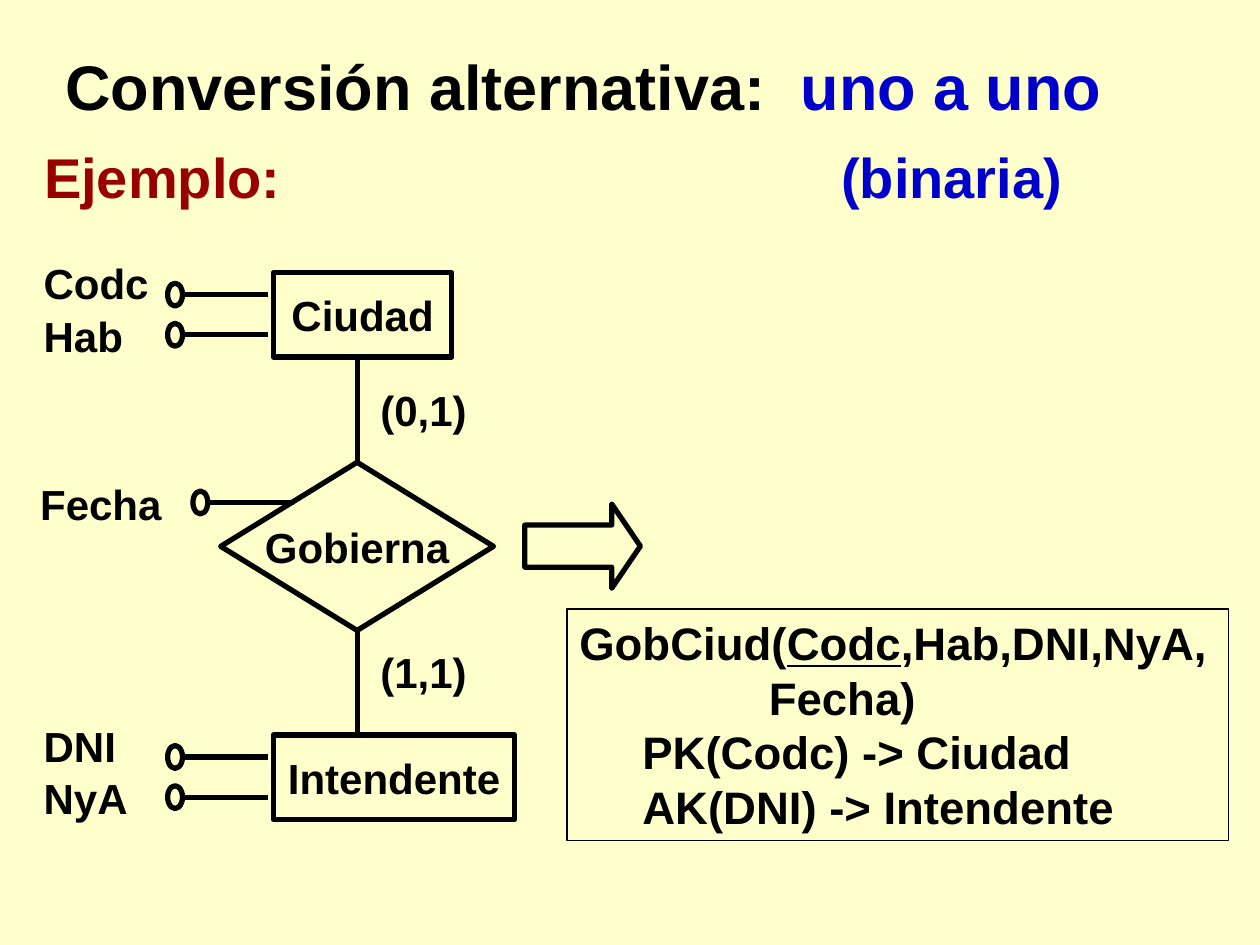
from dataclasses import dataclass

from lxml import etree
from pptx import Presentation
from pptx.dml.color import RGBColor
from pptx.enum.shapes import MSO_CONNECTOR, MSO_SHAPE
from pptx.enum.text import MSO_ANCHOR, MSO_AUTO_SIZE, PP_ALIGN
from pptx.oxml.ns import qn
from pptx.util import Cm, Pt


@dataclass(frozen=True)
class Theme:
    font: str = "Arial"
    paper: RGBColor = RGBColor(0xFF, 0xFF, 0xCC)
    ink: RGBColor = RGBColor(0, 0, 0)
    accent: RGBColor = RGBColor(0, 0, 0xCC)
    example: RGBColor = RGBColor(0x99, 0, 0)
    title: int = 36
    subtitle: int = 32
    schema: int = 26
    label: int = 24
    stroke: float = 3
    thin: float = 0.75


THEME = Theme()


def add_run(paragraph, text, size=THEME.label, color=THEME.ink, underline=None):
    run = paragraph.add_run()
    run.text = text
    run.font.name = THEME.font
    run.font.size = Pt(size)
    run.font.bold = True
    run.font.underline = underline
    run.font.color.rgb = color


def add_label(slide, text, left, top, width, height=1.27, **style):
    label = slide.shapes.add_textbox(Cm(left), Cm(top), Cm(width), Cm(height))
    frame = label.text_frame
    frame.word_wrap = True
    frame.auto_size = MSO_AUTO_SIZE.SHAPE_TO_FIT_TEXT
    add_run(frame.paragraphs[0], text, **style)
    return frame.paragraphs[0]


def add_outline(shapes, preset, left, top, width, height, stroke=THEME.stroke):
    outline = shapes.add_shape(preset, Cm(left), Cm(top), Cm(width), Cm(height))
    outline.shadow.inherit = False
    outline.fill.background()
    outline.line.color.rgb = THEME.ink
    outline.line.width = Pt(stroke)
    return outline


def add_line(shapes, x1, y1, x2, y2):
    line = shapes.add_connector(MSO_CONNECTOR.STRAIGHT, Cm(x1), Cm(y1), Cm(x2), Cm(y2))
    line.line.color.rgb = THEME.ink
    line.line.width = Pt(THEME.stroke)
    etree.SubElement(line._element.spPr, qn("a:effectLst"))
    return line


def add_node(slide, preset, name, left, top, width, height):
    node = add_outline(slide.shapes, preset, left, top, width, height)
    frame = node.text_frame
    frame.word_wrap = False
    frame.vertical_anchor = MSO_ANCHOR.MIDDLE
    frame.paragraphs[0].alignment = PP_ALIGN.CENTER
    add_run(frame.paragraphs[0], name)
    return node


def add_attribute_lead(slide, left, middle):
    knob_width, knob_height, length = 0.3, 0.46, 1.73
    lead = slide.shapes.add_group_shape()
    start = left + knob_width
    add_line(lead.shapes, start, middle, start + length, middle)
    add_outline(lead.shapes, MSO_SHAPE.OVAL, left, middle - knob_height / 2,
                knob_width, knob_height)


def add_entity(slide, name, attributes, left, top, width, height):
    add_node(slide, MSO_SHAPE.RECTANGLE, name, left, top, width, height)
    for row, attribute in enumerate(attributes):
        add_label(slide, attribute, left - 4.88, top - 0.43 + 1.06 * row, 2.96)
        add_attribute_lead(slide, left - 2.13, top + 0.44 + 0.81 * row)


def add_relationship(slide, name, attribute, cardinalities, left, top, width, height):
    diamond = add_node(slide, MSO_SHAPE.DIAMOND, name, left, top, width, height)
    add_label(slide, attribute, left - 3.89, top + 0.2, 3.25)
    add_attribute_lead(slide, left - 0.56, top + 0.81)

    reach = 2.12
    center, bottom = left + width / 2, top + height
    ends = ((0, top, top - reach, top - 1.7), (2, bottom, bottom + reach, bottom + 0.2))
    for cardinality, (site, start, end, label_top) in zip(cardinalities, ends):
        link = add_line(slide.shapes, center, start, center, end)
        link.begin_connect(diamond, site)
        add_label(slide, cardinality, center + 0.22, label_top, 2.54)


def add_heading(slide, left, top, width):
    title = add_label(slide, "Conversión alternativa:\t", left + 0.43, top, width, 1.78,
                      size=THEME.title)
    tabs = etree.SubElement(title._p.get_or_add_pPr(), qn("a:tabLst"))
    etree.SubElement(tabs, qn("a:tab"), pos=str(Cm(14.82)), algn="l")
    add_run(title, "uno a uno", THEME.title, THEME.accent)
    add_label(slide, "Ejemplo:", left, top + 1.9, 5.5, 1.63,
              size=THEME.subtitle, color=THEME.example)
    add_label(slide, "(binaria)", left + 16.07, top + 1.9, 5.72, 1.63,
              size=THEME.subtitle, color=THEME.accent)


def add_schema(slide, left, top, width, height):
    schema = add_outline(slide.shapes, MSO_SHAPE.RECTANGLE, left, top, width, height,
                         THEME.thin)
    frame = schema.text_frame
    frame.word_wrap = True
    frame.vertical_anchor = MSO_ANCHOR.TOP
    relation = frame.paragraphs[0]
    relation.alignment = PP_ALIGN.LEFT
    for text, underline in (("GobCiud(", None), ("Codc", True), (",Hab,DNI,NyA,", None)):
        add_run(relation, text, THEME.schema, underline=underline)
    for text, indent in (("Fecha)", 3.82), ("PK(Codc) -> Ciudad", 1.27),
                         ("AK(DNI) -> Intendente", 1.27)):
        line = frame.add_paragraph()
        line.alignment = PP_ALIGN.LEFT
        line._p.get_or_add_pPr().set("marL", str(Cm(indent)))
        add_run(line, text, THEME.schema)


def add_conversion_arrow(slide, left, top, width, height):
    arrow = add_outline(slide.shapes, MSO_SHAPE.RIGHT_ARROW, left, top, width, height)
    arrow.adjustments[0] = 0.5
    arrow.adjustments[1] = 0.34


def main():
    presentation = Presentation()
    presentation.slide_width, presentation.slide_height = Cm(25.4), Cm(19.05)
    slide = presentation.slides.add_slide(presentation.slide_layouts[6])
    slide.background.fill.solid()
    slide.background.fill.fore_color.rgb = THEME.paper

    add_heading(slide, 0.64, 0.84, 23.06)
    add_entity(slide, "Ciudad", ("Codc", "Hab"), 5.51, 5.5, 3.6, 1.7)
    add_entity(slide, "Intendente", ("DNI", "NyA"), 5.51, 14.82, 4.87, 1.7)
    add_relationship(slide, "Gobierna", "Fecha", ("(0,1)", "(1,1)"),
                     4.45, 9.32, 5.5, 3.39)
    add_conversion_arrow(slide, 10.58, 10.16, 2.33, 1.7)
    add_schema(slide, 11.43, 12.28, 13.34, 4.66)
    presentation.save("out.pptx")


if __name__ == "__main__":
    main()
